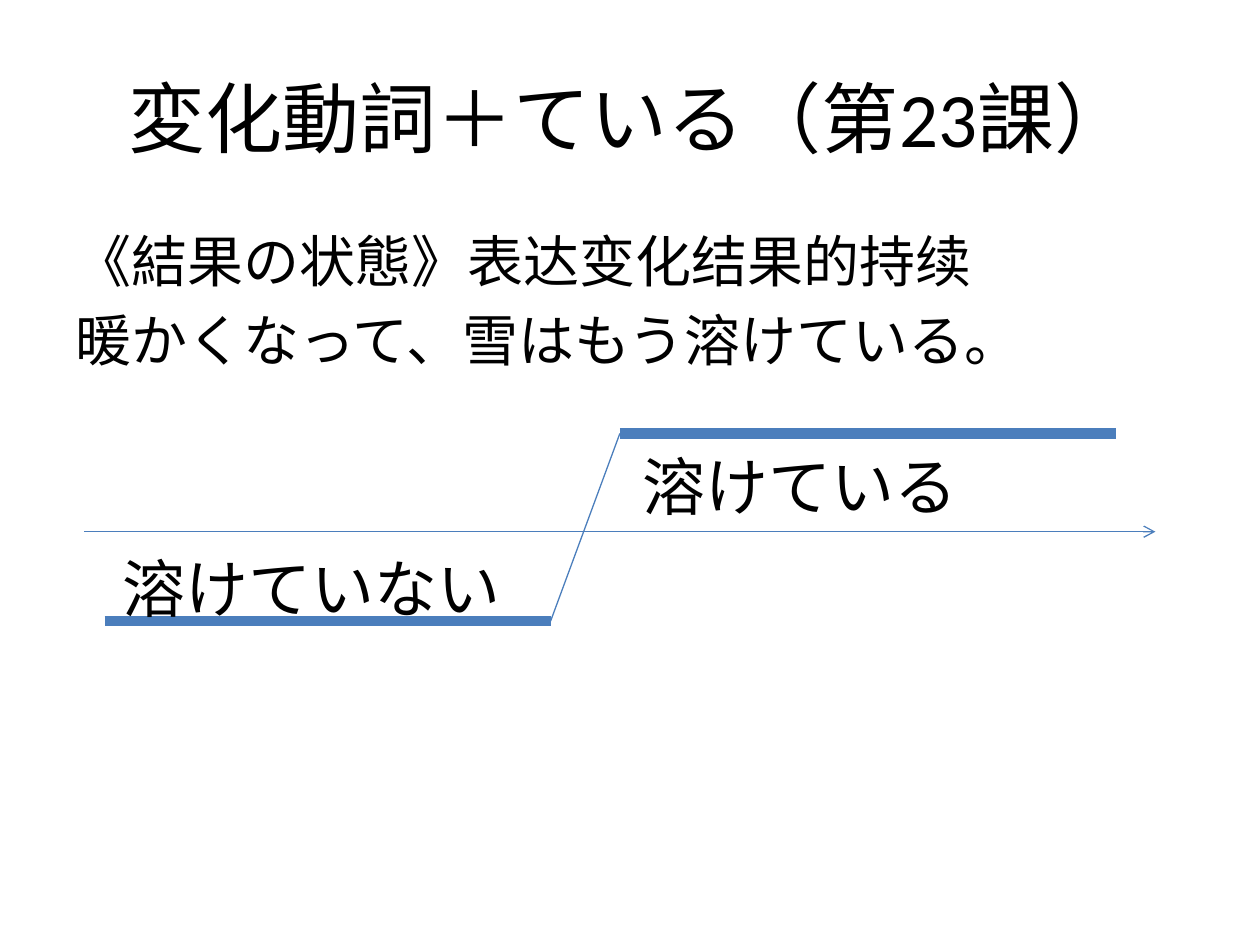
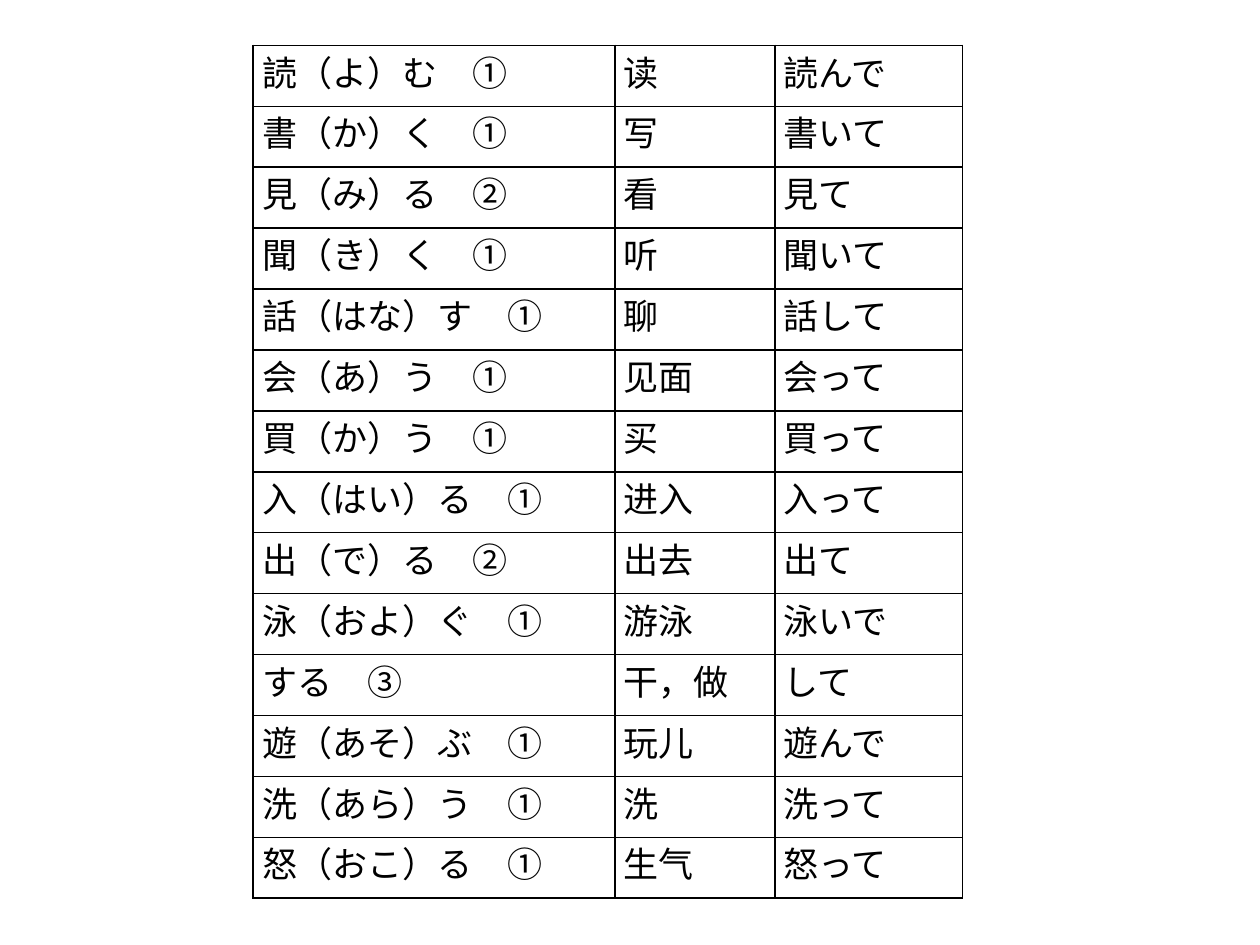
import dataclasses

import pptx
import pptx.dml.color
import pptx.enum.shapes
import pptx.enum.text
import pptx.oxml
import pptx.oxml.ns
import pptx.presentation
import pptx.slide
import pptx.text.text
import pptx.util

# Shared look
BLACK = pptx.dml.color.RGBColor(0x00, 0x00, 0x00)
BLUE = pptx.dml.color.RGBColor(0x4B, 0x7E, 0xBC)
SANS = "Calibri"
SERIF = "TeX Gyre Schola"
ALIGN = pptx.enum.text.PP_ALIGN
ANCHOR = pptx.enum.text.MSO_ANCHOR

# Grid of 100 columns by 75 rows
WIDE = pptx.util.Inches(10)
TALL = pptx.util.Inches(7.5)
COL = WIDE / 100
ROW = TALL / 75


@dataclasses.dataclass(frozen=True)
class Box:
    left: float
    top: float
    wide: float
    tall: float

    def emu(self) -> tuple[int, int, int, int]:
        return (round(self.left * COL), round(self.top * ROW),
                round(self.wide * COL), round(self.tall * ROW))


@dataclasses.dataclass(frozen=True)
class Line:
    start: tuple[float, float]
    end: tuple[float, float]
    weight: float = 0.75
    arrow: bool = False


@dataclasses.dataclass(frozen=True)
class Label:
    text: str
    box: Box


# Time line: the state before, the change, the state after
BEFORE, AFTER = 49.3, 34.4
LEAVE, REACH = 43.7, 49.2
LINES = [
    Line((6.7, 42.2), (91.7, 42.2), arrow=True),
    Line((8.3, BEFORE), (LEAVE, BEFORE), weight=6),
    Line((REACH, AFTER), (88.6, AFTER), weight=6),
    Line((REACH, AFTER), (LEAVE, BEFORE)),
]
LABELS = [
    Label("溶けていない", Box(8.7, 43.1, 33.9, 7.1)),
    Label("溶けている", Box(50, 35, 37, 7.1)),
]

# Verb, meaning and te-form
VERBS = [
    ("読（よ）む　①", "读", "読んで"),
    ("書（か）く　①", "写", "書いて"),
    ("見（み）る　②", "看", "見て"),
    ("聞（き）く　①", "听", "聞いて"),
    ("話（はな）す　①", "聊", "話して"),
    ("会（あ）う　①", "见面", "会って"),
    ("買（か）う　①", "买", "買って"),
    ("入（はい）る　①", "进入", "入って"),
    ("出（で）る　②", "出去", "出て"),
    ("泳（およ）ぐ　①", "游泳", "泳いで"),
    ("する　③", "干，做", "して"),
    ("遊（あそ）ぶ　①", "玩儿", "遊んで"),
    ("洗（あら）う　①", "洗", "洗って"),
    ("怒（おこ）る　①", "生气", "怒って"),
]
SPANS = (28.7, 12.7, 14.9)


def style(para: pptx.text.text._Paragraph, size: float, face: str = SANS) -> None:
    para.font.size = pptx.util.Pt(size)
    para.font.name = face
    para.font.color.rgb = BLACK


def place(shape, box: Box) -> None:
    shape.left, shape.top, shape.width, shape.height = box.emu()


def draw_line(slide: pptx.slide.Slide, line: Line) -> None:
    (x1, y1), (x2, y2) = line.start, line.end
    link = slide.shapes.add_connector(
        pptx.enum.shapes.MSO_CONNECTOR.STRAIGHT,
        round(x1 * COL), round(y1 * ROW), round(x2 * COL), round(y2 * ROW))
    link.line.color.rgb = BLUE
    link.line.width = pptx.util.Pt(line.weight)
    props = link._element.spPr
    if line.arrow:
        tip = pptx.oxml.ns.qn("a:tailEnd")
        link.line._get_or_add_ln().makeelement(tip)
        end = pptx.oxml.parse_xml(
            f'<a:tailEnd {pptx.oxml.ns.nsdecls("a")} type="arrow"/>')
        link.line._get_or_add_ln().append(end)
    props.append(pptx.oxml.parse_xml(
        f'<a:effectLst {pptx.oxml.ns.nsdecls("a")}/>'))


def draw_label(slide: pptx.slide.Slide, label: Label) -> None:
    frame = slide.shapes.add_textbox(*label.box.emu()).text_frame
    frame.word_wrap = True
    frame.auto_size = pptx.enum.text.MSO_AUTO_SIZE.SHAPE_TO_FIT_TEXT
    frame.text = label.text
    style(frame.paragraphs[0], 36)


def edge_cell(cell) -> None:
    props = cell._tc.get_or_add_tcPr()
    for side in ("lnL", "lnR", "lnT", "lnB"):
        props.append(pptx.oxml.parse_xml(
            f'<a:{side} {pptx.oxml.ns.nsdecls("a")} w="{pptx.util.Pt(1)}">'
            f'<a:solidFill><a:srgbClr val="{BLACK}"/></a:solidFill></a:{side}>'))


def fill_cell(cell, text: str) -> None:
    edge_cell(cell)
    cell.fill.background()
    cell.margin_left = cell.margin_right = pptx.util.Inches(0.07)
    cell.margin_top = cell.margin_bottom = 0
    cell.text = text
    para = cell.text_frame.paragraphs[0]
    para.alignment = ALIGN.JUSTIFY
    style(para, 20, SERIF)


def add_state(deck: pptx.presentation.Presentation) -> None:
    slide = deck.slides.add_slide(deck.slide_layouts[1])

    # Title
    title = slide.shapes.title
    place(title, Box(5, 3, 90, 12.5))
    title.text_frame.text = "変化動詞＋ている（第23課）"
    title.text_frame.vertical_anchor = ANCHOR.MIDDLE
    head = title.text_frame.paragraphs[0]
    head.alignment = ALIGN.CENTER
    style(head, 44)

    # Meaning and example
    body = slide.placeholders[1]
    place(body, Box(5, 17.5, 90, 49.5))
    body.text_frame.text = ("《結果の状態》表达变化结果的持续\n"
                            "暖かくなって、雪はもう溶けている。")
    for rank, para in enumerate(body.text_frame.paragraphs):
        props = para._p.get_or_add_pPr()
        props.set("marL", "0")
        props.set("indent", "0")
        props.append(pptx.oxml.parse_xml(
            f'<a:buNone {pptx.oxml.ns.nsdecls("a")}/>'))
        para.space_before = pptx.util.Pt(6.4 if rank else 0)
        style(para, 32)

    # Time line
    for line in LINES:
        draw_line(slide, line)
    for label in LABELS:
        draw_label(slide, label)


def add_verbs(deck: pptx.presentation.Presentation) -> None:
    slide = deck.slides.add_slide(deck.slide_layouts[6])
    box = Box(20.1, 3.6, sum(SPANS), 67.7)
    table = slide.shapes.add_table(len(VERBS), len(SPANS), *box.emu()).table
    table.first_row = table.horz_banding = False
    for col, span in zip(table.columns, SPANS):
        col.width = round(span * COL)
    for row, verb in zip(table.rows, VERBS):
        row.height = round(box.tall * ROW / len(VERBS))
        for cell, text in zip(row.cells, verb):
            fill_cell(cell, text)


def main() -> None:
    deck = pptx.Presentation()
    deck.slide_width, deck.slide_height = WIDE, TALL
    add_state(deck)
    add_verbs(deck)
    deck.save("out.pptx")


if __name__ == "__main__":
    main()
